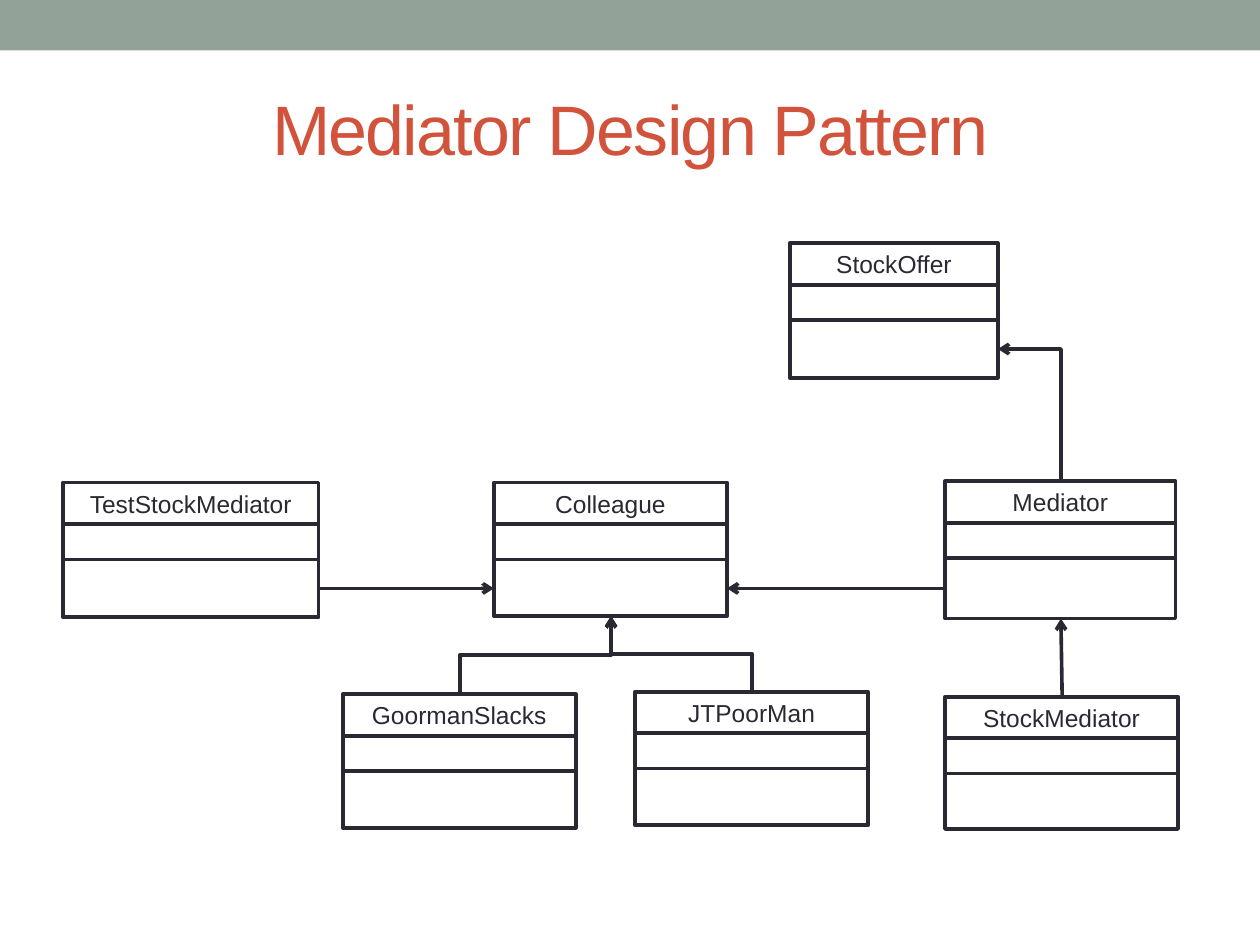
import dataclasses
import pptx
import pptx.util
import pptx.dml.color
import pptx.enum.shapes
import pptx.enum.text
import pptx.oxml
import pptx.oxml.ns

SCALE = 9144
SHAPE = pptx.enum.shapes.MSO_SHAPE
LINK = pptx.enum.shapes.MSO_CONNECTOR
ALIGN = pptx.enum.text.PP_ALIGN
ANCHOR = pptx.enum.text.MSO_ANCHOR


@dataclasses.dataclass(frozen=True)
class Theme:
    font: str = "Arial"
    ink: str = "292934"
    paper: str = "FFFFFF"
    band: str = "93A299"
    accent: str = "D2533C"
    head: int = 40
    label: int = 14
    line: float = 2.08


THEME = Theme()
ROWS = (33, 28)

CLASSES = {
    "TestStockMediator": (50, 383, 203, 107),
    "Colleague": (392, 383, 185, 106),
    "Mediator": (750, 382, 183, 109),
    "JTPoorMan": (504, 549, 185, 106),
    "GoormanSlacks": (272, 551, 185, 106),
    "StockMediator": (750, 553, 185, 105),
    "StockOffer": (627, 193, 165, 107),
}
ARROWS = [
    ((750, 467), (577, 467)),
    ((253, 467), (392, 467)),
    ((843, 553), (842, 491)),
]
ELBOWS = [
    ((365, 551), (485, 489), "bentConnector3"),
    ((597, 549), (485, 489), "bentConnector3"),
    ((842, 382), (792, 277), "bentConnector2"),
]


def px(*nums):
    return [pptx.util.Emu(round(num * SCALE)) for num in nums]


def tint(code):
    return pptx.dml.color.RGBColor.from_string(code)


def style(para, size, code):
    para.alignment = ALIGN.CENTER
    para.font.name = THEME.font
    para.font.size = pptx.util.Pt(size)
    para.font.color.rgb = tint(code)


def stroke(line):
    line.color.rgb = tint(THEME.ink)
    line.width = pptx.util.Pt(THEME.line)


def block(slide, box, code):
    shape = slide.shapes.add_shape(SHAPE.RECTANGLE, *px(*box))
    shape.shadow.inherit = False
    shape.fill.solid()
    shape.fill.fore_color.rgb = tint(code)
    shape.line.fill.background()
    return shape


def header(slide, box):
    left, top, width, height = box
    block(slide, (left, top, width, 40), THEME.band)
    title = slide.shapes.title
    title.left, title.top, title.width, title.height = px(
        left + 50, top + 40, width - 100, height - 40)
    frame = title.text_frame
    frame.text = "Mediator Design Pattern"
    frame.vertical_anchor = ANCHOR.MIDDLE
    style(frame.paragraphs[0], THEME.head, THEME.accent)
    frame.paragraphs[0].runs[0].font._element.set("spc", "-100")


def entity(slide, name, box):
    left, top, width, height = box
    for index, tall in enumerate((*ROWS, height - sum(ROWS))):
        cell = block(slide, (left, top, width, tall), THEME.paper)
        stroke(cell.line)
        if index == 0:
            frame = cell.text_frame
            frame.text = name
            frame.vertical_anchor = ANCHOR.MIDDLE
            style(frame.paragraphs[0], THEME.label, THEME.ink)
        top += tall


def arrow(slide, start, end, kind=LINK.STRAIGHT):
    link = slide.shapes.add_connector(kind, *px(*start, *end))
    stroke(link.line)
    props = link._element.spPr
    tail = pptx.oxml.parse_xml(
        f'<a:tailEnd {pptx.oxml.ns.nsdecls("a")} type="arrow"/>')
    props.find(pptx.oxml.ns.qn("a:ln")).append(tail)
    props.append(pptx.oxml.parse_xml(
        f'<a:effectLst {pptx.oxml.ns.nsdecls("a")}/>'))
    return link


def elbow(slide, start, end, preset):
    (x1, y1), (x2, y2) = start, end
    wide, tall = abs(y2 - y1), abs(x2 - x1)
    left, top = (x1 + x2 - wide) / 2, (y1 + y2 - tall) / 2
    link = arrow(slide, (left, top), (left + wide, top + tall), LINK.ELBOW)
    right = x2 > x1
    link.rotation = 90 if right else 270
    props = link._element.spPr
    frame = props.find(pptx.oxml.ns.qn("a:xfrm"))
    frame.set("rot", str((90 if right else 270) * 60000))
    frame.set("flipH", str(int(right)))
    frame.set("flipV", "1")
    props.find(pptx.oxml.ns.qn("a:prstGeom")).set("prst", preset)


def diagram(slide, box):
    left, top = box[:2]

    def shift(spot):
        return spot[0] + left, spot[1] + top

    for name, area in CLASSES.items():
        entity(slide, name, (*shift(area), *area[2:]))
    for start, end in ARROWS:
        arrow(slide, shift(start), shift(end))
    for start, end, preset in ELBOWS:
        elbow(slide, shift(start), shift(end), preset)


def main():
    deck = pptx.Presentation()
    deck.slide_width, deck.slide_height = px(1000, 750)
    slide = deck.slides.add_slide(deck.slide_layouts[5])
    header(slide, (0, 0, 1000, 162))
    diagram(slide, (0, 0, 1000, 750))
    deck.save("out.pptx")


if __name__ == "__main__":
    main()
